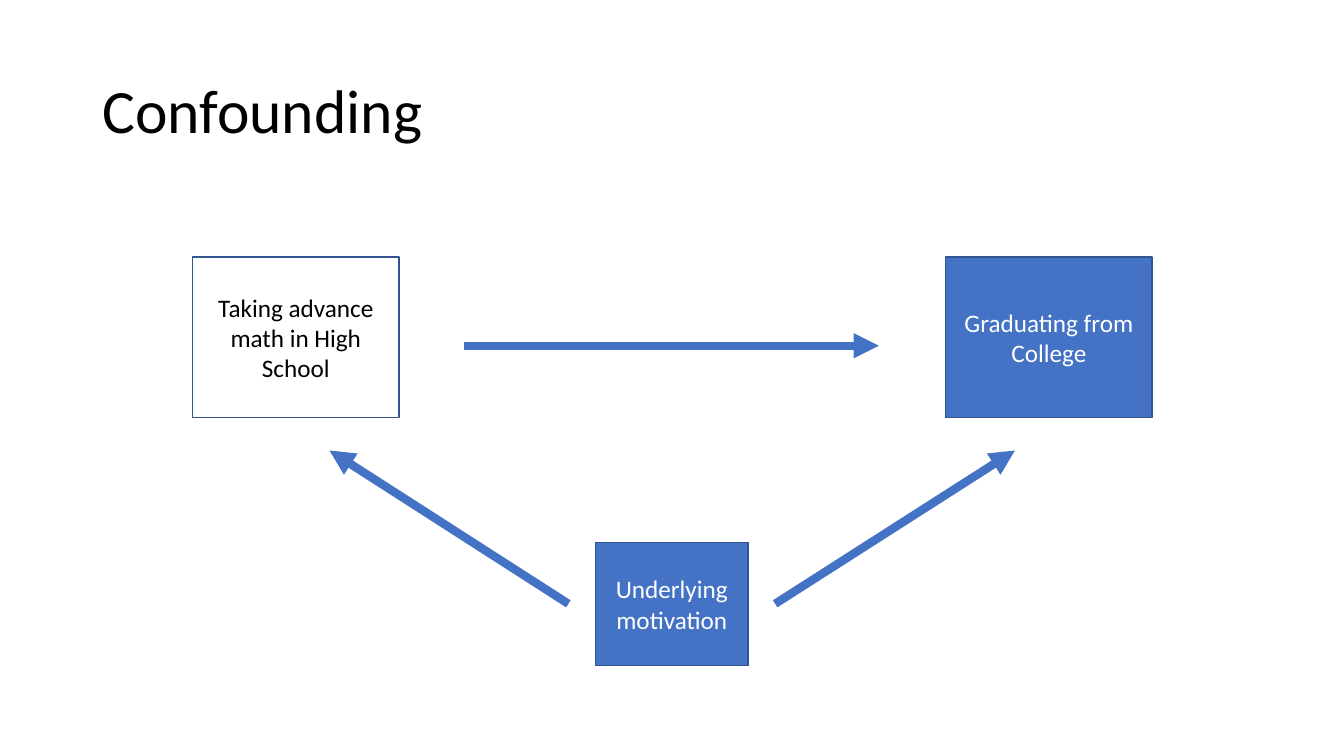
from lxml import etree
from pptx import Presentation
from pptx.dml.color import RGBColor
from pptx.enum.shapes import MSO_CONNECTOR, MSO_SHAPE
from pptx.enum.text import MSO_ANCHOR, PP_ALIGN
from pptx.oxml.ns import qn
from pptx.util import Pt

RECTANGLE = MSO_SHAPE.RECTANGLE
STRAIGHT = MSO_CONNECTOR.STRAIGHT
MIDDLE = MSO_ANCHOR.MIDDLE
LEFT, CENTER = PP_ALIGN.LEFT, PP_ALIGN.CENTER

BLACK = RGBColor(0x00, 0x00, 0x00)
WHITE = RGBColor(0xFF, 0xFF, 0xFF)
BLUE = RGBColor(0x44, 0x72, 0xC4)
DARK_BLUE = RGBColor(0x32, 0x54, 0x91)

TITLE = "Confounding"
TITLE_FRAME = (66, 28.8, 828, 104.4)
OUTER_SIZE = (147.6, 114.5)
BOXES = [
    ("Taking advance math in High School", (137.5, 183.6, *OUTER_SIZE), None, BLACK),
    ("Underlying motivation", (425.5, 387.4, 108.7, 87.8), BLUE, WHITE),
    ("Graduating from College", (675.4, 183.6, *OUTER_SIZE), BLUE, WHITE),
]
ARROWS = [
    ((331.2, 247), (627.8, 247)),
    ((406, 431.3), (235.4, 321.8)),
    ((553.7, 431.3), (725, 321.8)),
]


def write_text(shape, text, alignment, spacing, font_format):
    frame = shape.text_frame
    frame.word_wrap = True
    frame.vertical_anchor = MIDDLE
    paragraph = frame.paragraphs[0]
    paragraph.alignment = alignment
    paragraph.line_spacing = spacing
    run = paragraph.add_run()
    run.text = text
    color = font_format["color"]
    run.font.color.rgb = color
    for name in ("name", "size"):
        setattr(run.font, name, font_format[name])


def add_box(slide, text, frame, fill, text_color):
    box = slide.shapes.add_shape(RECTANGLE, *map(Pt, frame))
    box.shadow.inherit = False
    if fill is None:
        box.fill.background()
    else:
        box.fill.solid()
        box.fill.fore_color.rgb = fill
    box.line.color.rgb = DARK_BLUE
    box.line.width = Pt(1)
    write_text(box, text, CENTER, 1.0,
               {"name": "Calibri", "size": Pt(18), "color": text_color})


def add_arrow(slide, start, end):
    arrow = slide.shapes.add_connector(STRAIGHT, *map(Pt, start + end))
    arrow.line.color.rgb = BLUE
    arrow.line.width = Pt(6)
    line = arrow.line._get_or_add_ln()
    etree.SubElement(line, qn("a:tailEnd"), type="triangle")
    etree.SubElement(arrow._element.spPr, qn("a:effectLst"))


def main():
    presentation = Presentation()
    presentation.slide_width, presentation.slide_height = Pt(960), Pt(540)
    slide = presentation.slides.add_slide(presentation.slide_layouts[6])
    title = slide.shapes.add_textbox(*map(Pt, TITLE_FRAME))
    write_text(title, TITLE, LEFT, 0.9,
               {"name": "Calibri", "size": Pt(44), "color": BLACK})
    for box in BOXES:
        add_box(slide, *box)
    for start, end in ARROWS:
        add_arrow(slide, start, end)
    presentation.save("out.pptx")


if __name__ == "__main__":
    main()
